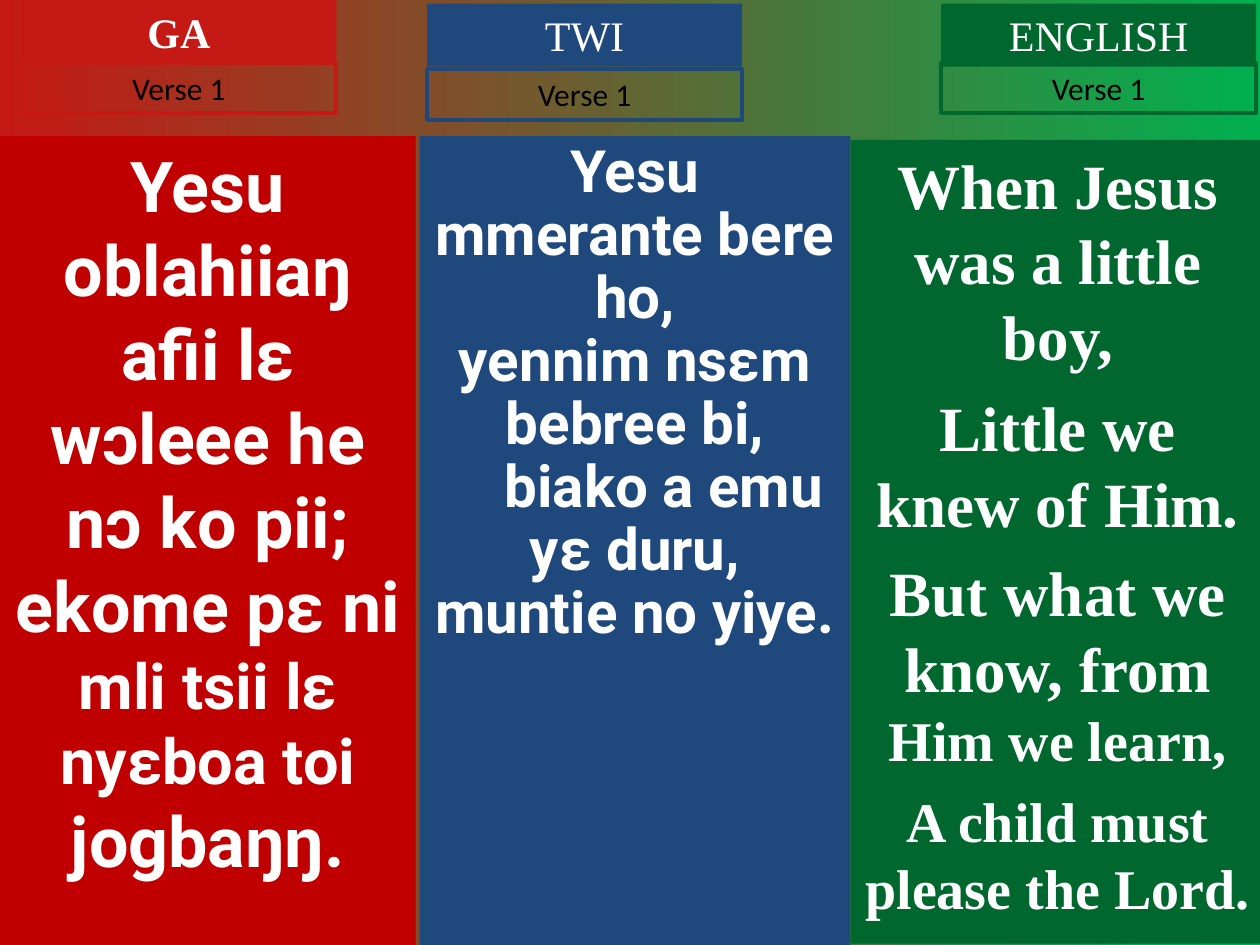
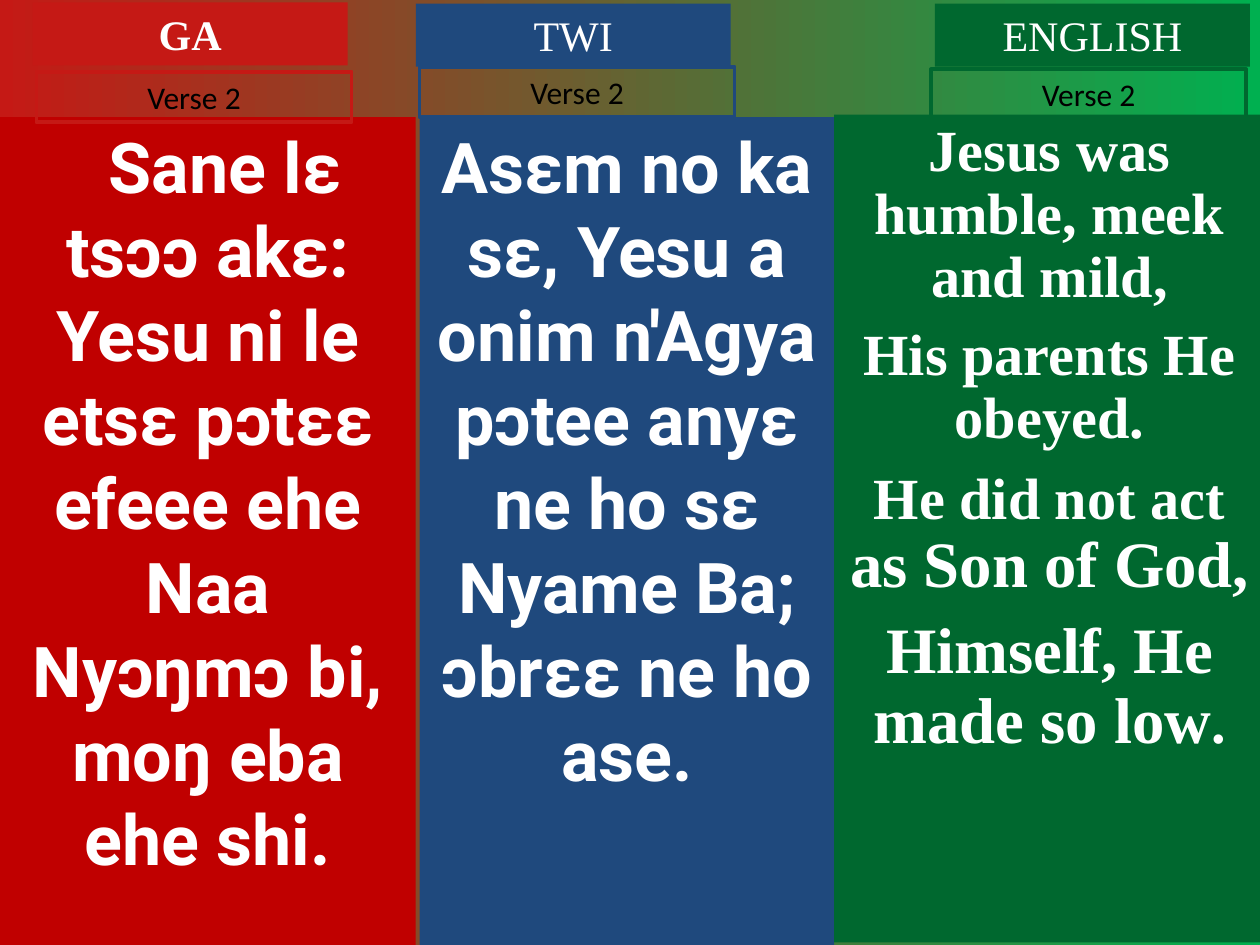
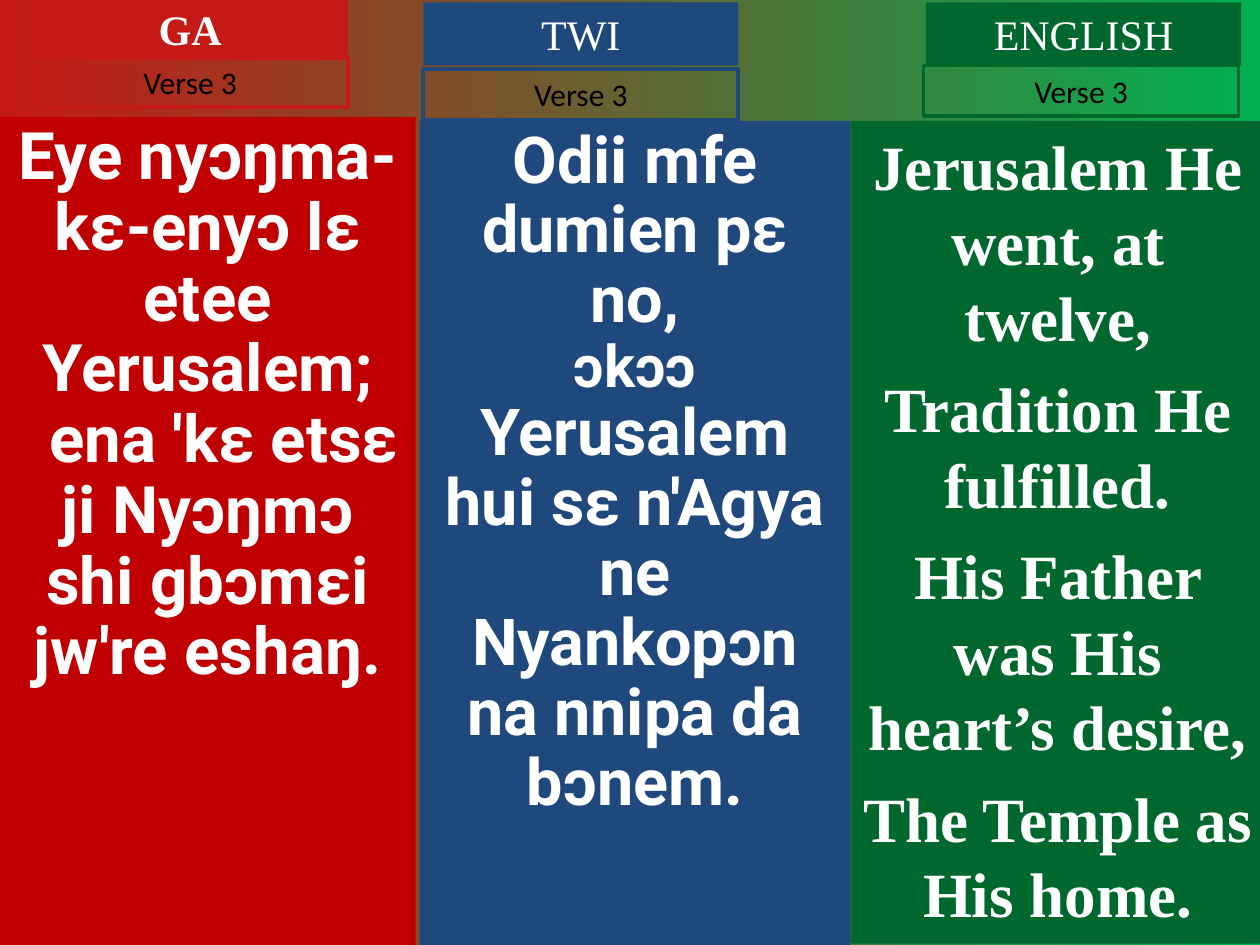
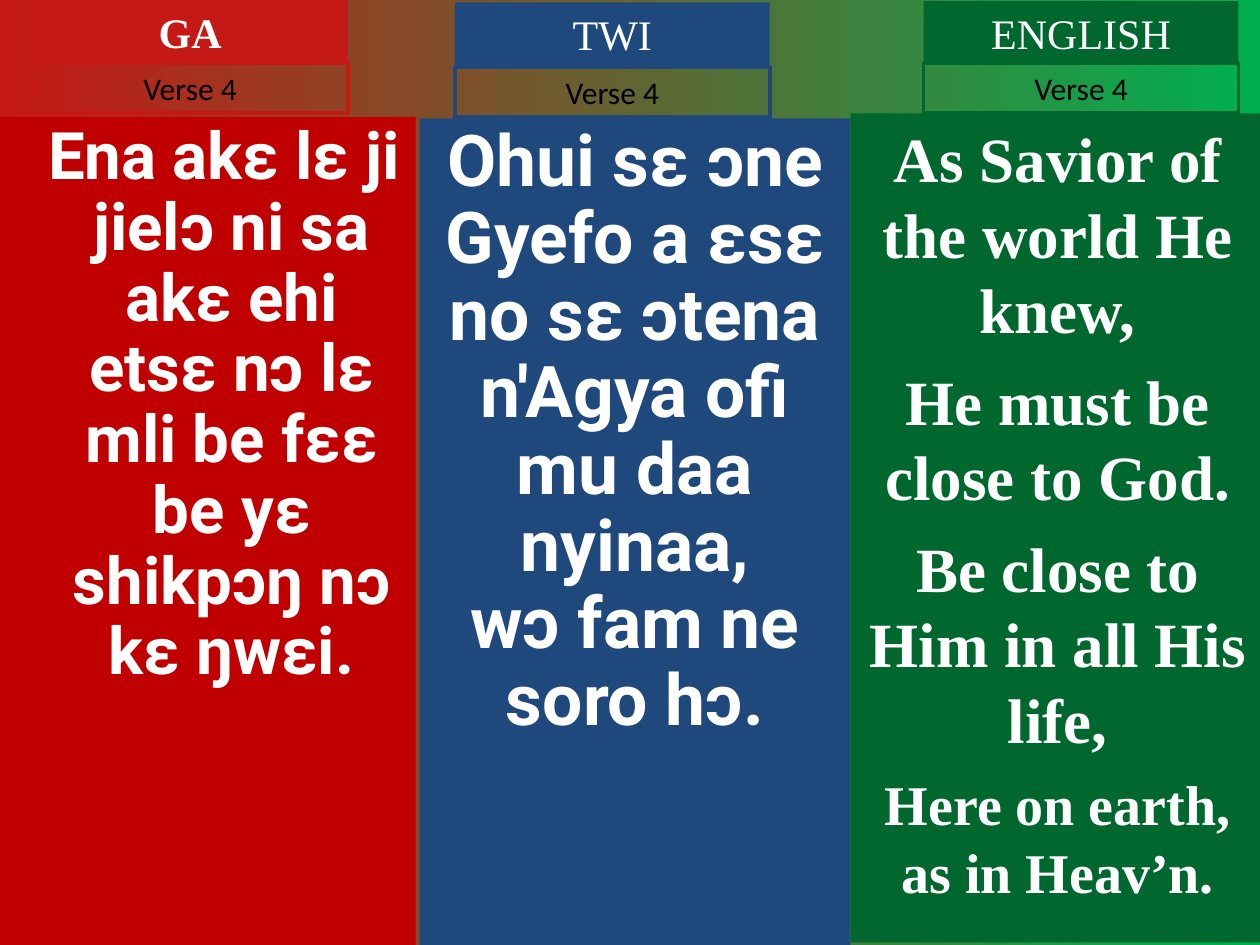
from dataclasses import dataclass
from pptx import Presentation
from pptx.dml.color import RGBColor
from pptx.enum.shapes import MSO_SHAPE
from pptx.enum.text import MSO_ANCHOR, MSO_AUTO_SIZE, PP_ALIGN
from pptx.util import Inches, Pt

WHITE = "FFFFFF"
BLACK = "000000"
RED = "C51915"
GREEN = "00682F"
BLUE = "1F497D"
SERIF = "Times New Roman"
TAG_W, HEAD_H, VERSE_H = 2.5, 0.5, 0.4


@dataclass
class Tongue:
    name: str
    fill: str
    tag: str
    font: str
    bold: bool = False


@dataclass
class Line:
    runs: list
    gap: float = 0
    shift: float = 0
    left: float = 0


@dataclass
class Part:
    panel: tuple
    head: tuple
    verse: tuple
    lines: list
    space: float = 1


TONGUES = [
    Tongue("GA", "C00000", RED, "Roboto", True),
    Tongue("TWI", BLUE, BLUE, "Roboto"),
    Tongue("ENGLISH", GREEN, GREEN, SERIF),
]

VERSES = [
    [
        Part((0, 1.08, 3.3, 6.42), (0.17, 0), (0.17, 0.5), [
            Line([("Yesu oblahiiaŋ afii lɛ wɔleee he nɔ ko pii;", 40)]),
            Line([("ekome pɛ ni ", 40), ("mli tsii lɛ nyɛboa toi ", 36),
                  ("jogbaŋŋ.", 40)]),
        ]),
        Part((3.33, 1.08, 3.42, 6.42), (3.39, 0.03), (3.39, 0.55), [
            Line([("Yesu mmerante bere ho,", 33.3)]),
            Line([("yennim nsɛm bebree bi,", 33.3)]),
            Line([("biako a emu yɛ duru,", 33.3)], shift=0.46),
            Line([("muntie no yiye.", 33.3)]),
        ], 0.9),
        Part((6.75, 1.11, 3.29, 6.38), (7.47, 0.03), (7.47, 0.5), [
            Line([("When Jesus was a little boy,", 36)]),
            Line([("Little we knew of Him.", 36)], 9),
            Line([("But what we know, from ", 36), ("Him we learn,", 32)], 8),
            Line([("A child must please the Lord.", 32)], 8),
        ]),
    ],
    [
        Part((0, 0.93, 3.3, 6.57), (0.26, 0.02), (0.29, 0.57), [
            Line([("Sane lɛ tsɔɔ akɛ: Yesu ni le etsɛ pɔtɛɛ efeee ehe "
                   "Naa Nyɔŋmɔ bi,", 40)], shift=0.27),
            Line([("moŋ eba ehe shi.", 40)]),
        ]),
        Part((3.33, 0.93, 3.29, 6.57), (3.3, 0.03), (3.33, 0.53), [
            Line([("Asɛm no ka sɛ, Yesu a onim n'Agya pɔtee anyɛ ne ho sɛ "
                   "Nyame Ba;", 40)]),
            Line([("ɔbrɛɛ ne ho ase.", 40)]),
        ]),
        Part((6.62, 0.91, 3.42, 6.57), (7.42, 0.03), (7.39, 0.55), [
            Line([("Jesus was humble, meek and mild,", 33.3)]),
            Line([("His parents He obeyed.", 33.3)], 9),
            Line([("He did not act ", 33.3), ("as Son of God,", 37)], 10),
            Line([("Himself, He made so low", 37), (".", 33.3)], 9),
        ], 0.9),
    ],
    [
        Part((0, 0.93, 3.3, 6.57), (0.26, -0.02), (0.26, 0.45), [
            Line([("Eye nyɔŋma-kɛ-enyɔ lɛ etee Yerusalem;", 37.4)]),
            Line([("ena 'kɛ etsɛ ji Nyɔŋmɔ shi gbɔmɛi jw're eshaŋ.", 37.4)],
                 shift=0.26),
        ], 0.9),
        Part((3.33, 0.96, 3.42, 6.54), (3.36, 0.02), (3.36, 0.55), [
            Line([("Odii mfe dumien pɛ no,", 37)]),
            Line([("ɔkɔɔ ", 33.3),
                  ("Yerusalem hui sɛ n'Agya ne Nyankopɔn na nnipa da bɔnem.",
                   37)]),
        ], 0.9),
        Part((6.75, 0.96, 3.29, 6.53), (7.35, 0.02), (7.33, 0.52), [
            Line([("Jerusalem He went, at twelve,", 36)]),
            Line([("Tradition He fulfilled.", 36)], 9),
            Line([("His Father was His heart’s desire,", 36)], 9),
            Line([("The Temple as His home.", 36)], 9),
        ]),
    ],
    [
        Part((0, 0.93, 3.3, 6.57), (0.26, 0), (0.26, 0.5), [
            Line([("Ena akɛ lɛ ji jielɔ ni sa akɛ ehi etsɛ nɔ lɛ mli be fɛɛ "
                   "be yɛ shikpɔŋ nɔ kɛ ŋwɛi.", 37.4)],
                 shift=-0.12, left=0.38),
        ], 0.9),
        Part((3.33, 0.94, 3.42, 6.56), (3.61, 0.02), (3.61, 0.53), [
            Line([("Ohui sɛ ɔne Gyefo a ɛsɛ no sɛ ɔtena n'Agya ofi mu daa "
                   "nyinaa,", 40.8)]),
            Line([("wɔ fam ne soro hɔ.", 40.8)]),
        ], 0.9),
        Part((6.75, 0.9, 3.29, 6.58), (7.33, 0.01), (7.33, 0.5), [
            Line([("As Savior of the world He knew,", 36)]),
            Line([("He must be close to God.", 36)], 9),
            Line([("Be close to Him in all His life,", 36)], 9),
            Line([("Here on earth, as in Heav’n.", 32)], 8),
        ]),
    ],
]


def paint(target, color):
    target.rgb = RGBColor.from_string(color)


def set_back(master):
    fill = master.background.fill
    fill.gradient()
    fill.gradient_angle = 0
    for stop, color, place in zip(fill.gradient_stops, (RED, "00B050"), (0, 1)):
        paint(stop.color, color)
        stop.position = place


def style(run, font, size, color, bold):
    run.font.name = font
    run.font.size = Pt(size)
    run.font.bold = bold
    paint(run.font.color, color)


def add_box(slide, box, fill=None, line=None):
    shape = slide.shapes.add_shape(MSO_SHAPE.RECTANGLE, *map(Inches, box))
    shape.shadow.inherit = False
    if fill:
        shape.fill.solid()
        paint(shape.fill.fore_color, fill)
    else:
        shape.fill.background()
    if line:
        paint(shape.line.color, line)
        shape.line.width = Pt(2.25)
    else:
        shape.line.fill.background()
    frame = shape.text_frame
    frame.word_wrap = True
    frame.vertical_anchor = MSO_ANCHOR.TOP
    return shape


def add_tag(shape, text, font, size, color, bold=False):
    frame = shape.text_frame
    frame.auto_size = MSO_AUTO_SIZE.SHAPE_TO_FIT_TEXT
    frame.text = text
    para = frame.paragraphs[0]
    para.alignment = PP_ALIGN.CENTER
    style(para.runs[0], font, size, color, bold)


def set_indent(para, line):
    if line.shift or line.left:
        props = para._p.get_or_add_pPr()
        props.set("marL", str(Inches(line.left)))
        props.set("indent", str(Inches(line.shift)))


def add_panel(slide, part, tongue):
    frame = add_box(slide, part.panel, tongue.fill).text_frame
    for spot, line in enumerate(part.lines):
        para = frame.add_paragraph() if spot else frame.paragraphs[0]
        set_indent(para, line)
        para.alignment = PP_ALIGN.CENTER
        para.line_spacing = part.space
        para.space_before = Pt(line.gap)
        for text, size in line.runs:
            run = para.add_run()
            run.text = text
            style(run, tongue.font, size, WHITE, True)


def add_head(slide, part, tongue):
    shape = add_box(slide, (*part.head, TAG_W, HEAD_H), tongue.tag)
    add_tag(shape, tongue.name, SERIF, 24, WHITE, tongue.bold)


def add_verse(slide, part, tongue, number):
    shape = add_box(slide, (*part.verse, TAG_W, VERSE_H), line=tongue.tag)
    add_tag(shape, f"Verse {number}", "Calibri", 18, BLACK)


def main():
    deck = Presentation()
    deck.slide_width = Inches(10)
    deck.slide_height = Inches(7.5)
    set_back(deck.slide_master)
    for number, parts in enumerate(VERSES, 1):
        slide = deck.slides.add_slide(deck.slide_layouts[6])
        pairs = list(zip(parts, TONGUES))
        for part, tongue in pairs:
            add_panel(slide, part, tongue)
        for part, tongue in pairs:
            add_head(slide, part, tongue)
            add_verse(slide, part, tongue, number)
    deck.save("out.pptx")


if __name__ == "__main__":
    main()
